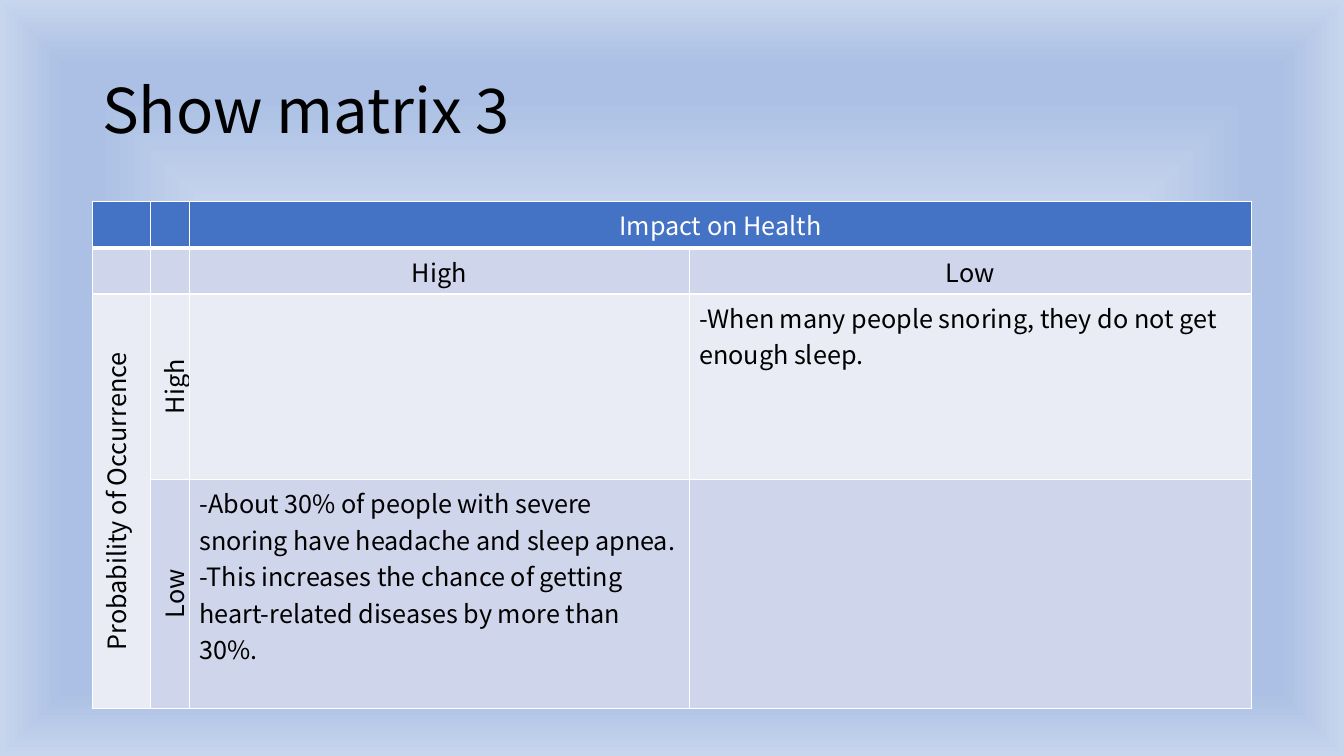
import pptx
import pptx.dml.color
import pptx.enum.text
import pptx.oxml
import pptx.oxml.ns
import pptx.util

Pt = pptx.util.Pt
MIDDLE = pptx.enum.text.MSO_ANCHOR.MIDDLE
CENTER = pptx.enum.text.PP_ALIGN.CENTER
NS = pptx.oxml.ns.nsdecls("a")
FONT = "Noto Sans CJK KR"


def rgb(value):
    return pptx.dml.color.RGBColor.from_string(value)


def style_runs(tf, size, color):
    for p in tf.paragraphs:
        for r in p.runs:
            r.font.name = FONT
            r.font.size = Pt(size)
            r.font.bold = False
            r.font.color.rgb = rgb(color)


prs = pptx.Presentation()
prs.slide_width, prs.slide_height = Pt(960), Pt(540)
s = prs.slides.add_slide(prs.slide_layouts[6])

# Background: gradient that follows the slide's outline
s.background.fill.gradient()
grad = s.element.find(".//" + pptx.oxml.ns.qn("a:gradFill"))
for child in list(grad):
    grad.remove(child)
stops = [(0, "F6F8FC"), (74, "ABC0E4"), (83, "ABC0E4"), (100, "C7D5ED")]
stop_xml = "".join(
    f'<a:gs pos="{pos * 1000}"><a:srgbClr val="{color}"/></a:gs>' for pos, color in stops
)
grad.append(pptx.oxml.parse_xml(f"<a:gsLst {NS}>{stop_xml}</a:gsLst>"))
grad.append(pptx.oxml.parse_xml(
    f'<a:path {NS} path="shape">'
    '<a:fillToRect l="50000" t="50000" r="50000" b="50000"/></a:path>'
))

# Title
title = s.shapes.add_textbox(Pt(66), Pt(28.75), Pt(828), Pt(104.4))
tf = title.text_frame
tf.word_wrap = True
tf.vertical_anchor = MIDDLE
tf.text = "Show matrix 3"
tf.paragraphs[0].line_spacing = 0.9
style_runs(tf, 44, "000000")

# Matrix
col_widths = [41.3, 28, 357, 401.7]
row_heights = [33, 33, 132.5, 163.5]
row_fills = ["4472C4", "CFD5EA", "E9EBF5", "CFD5EA"]
labels = {
    (0, 2): "Impact on Health",
    (1, 2): "High",
    (1, 3): "Low",
    (2, 0): "Probability of Occurrence",
    (2, 1): "High",
    (3, 1): "Low",
}
findings = {
    (2, 3): "-When many people snoring, they do not get enough sleep.",
    (3, 2): "-About 30% of people with severe snoring have headache and sleep apnea.\n"
            "-This increases the chance of getting heart-related diseases by more than 30%.",
}

table = s.shapes.add_table(
    4, 4, Pt(66), Pt(144), Pt(sum(col_widths)), Pt(sum(row_heights))
).table
table.first_row = False
table.horz_banding = False
for column, width in zip(table.columns, col_widths):
    column.width = Pt(width)
for row, height in zip(table.rows, row_heights):
    row.height = Pt(height)
table.cell(0, 2).merge(table.cell(0, 3))
table.cell(2, 0).merge(table.cell(3, 0))

for i, fill in enumerate(row_fills):
    for j in range(len(col_widths)):
        cell = table.cell(i, j)
        cell.fill.solid()
        cell.fill.fore_color.rgb = rgb(fill)
        tcPr = cell._tc.get_or_add_tcPr()
        for k, side in enumerate("LRTB"):
            width = Pt(3 if i == 0 and side == "B" else 1)
            tcPr.insert(k, pptx.oxml.parse_xml(
                f'<a:ln{side} {NS} w="{width}"><a:solidFill>'
                f'<a:srgbClr val="FFFFFF"/></a:solidFill></a:ln{side}>'
            ))
        if (i, j) in labels:
            cell.text = labels[i, j]
            cell.vertical_anchor = MIDDLE
            cell.text_frame.paragraphs[0].alignment = CENTER
            if j < 2:
                tcPr.set("vert", "vert270")
        elif (i, j) in findings:
            cell.text = findings[i, j]
        style_runs(cell.text_frame, 18, "FFFFFF" if i == 0 else "000000")

prs.save("out.pptx")
